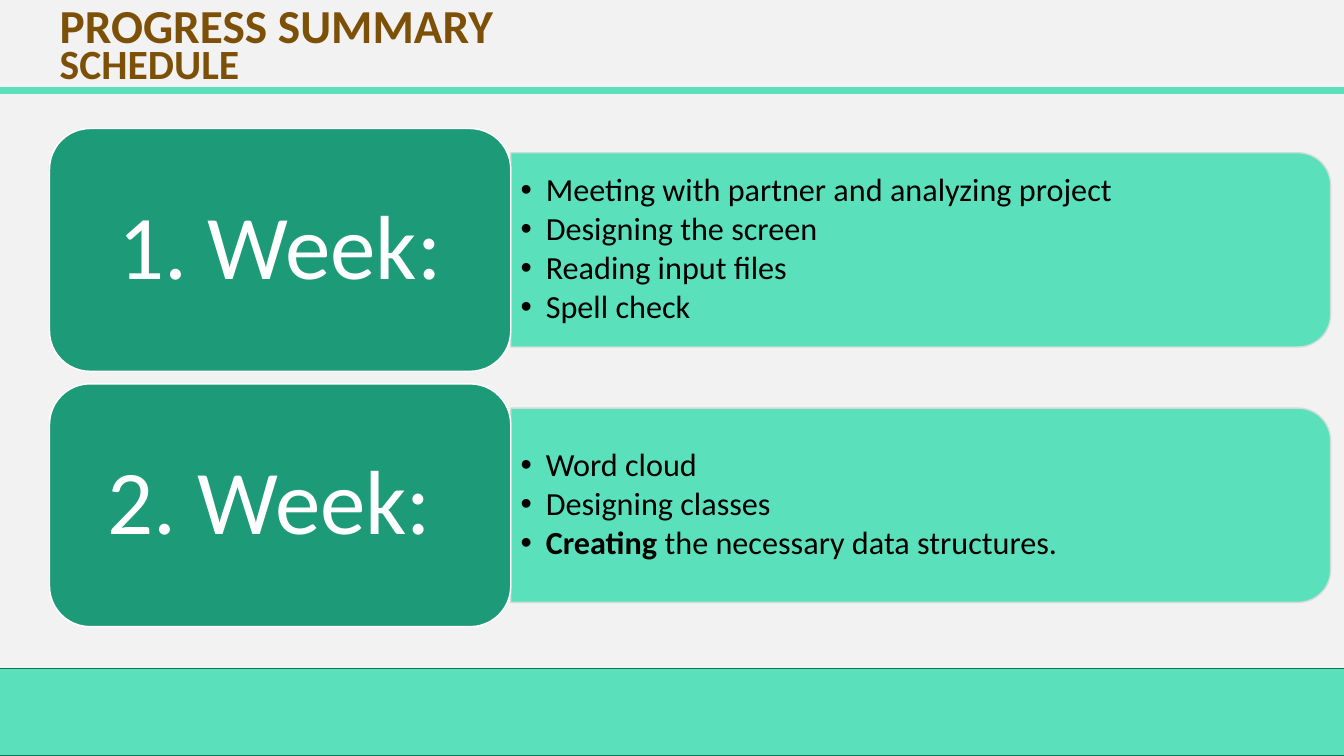
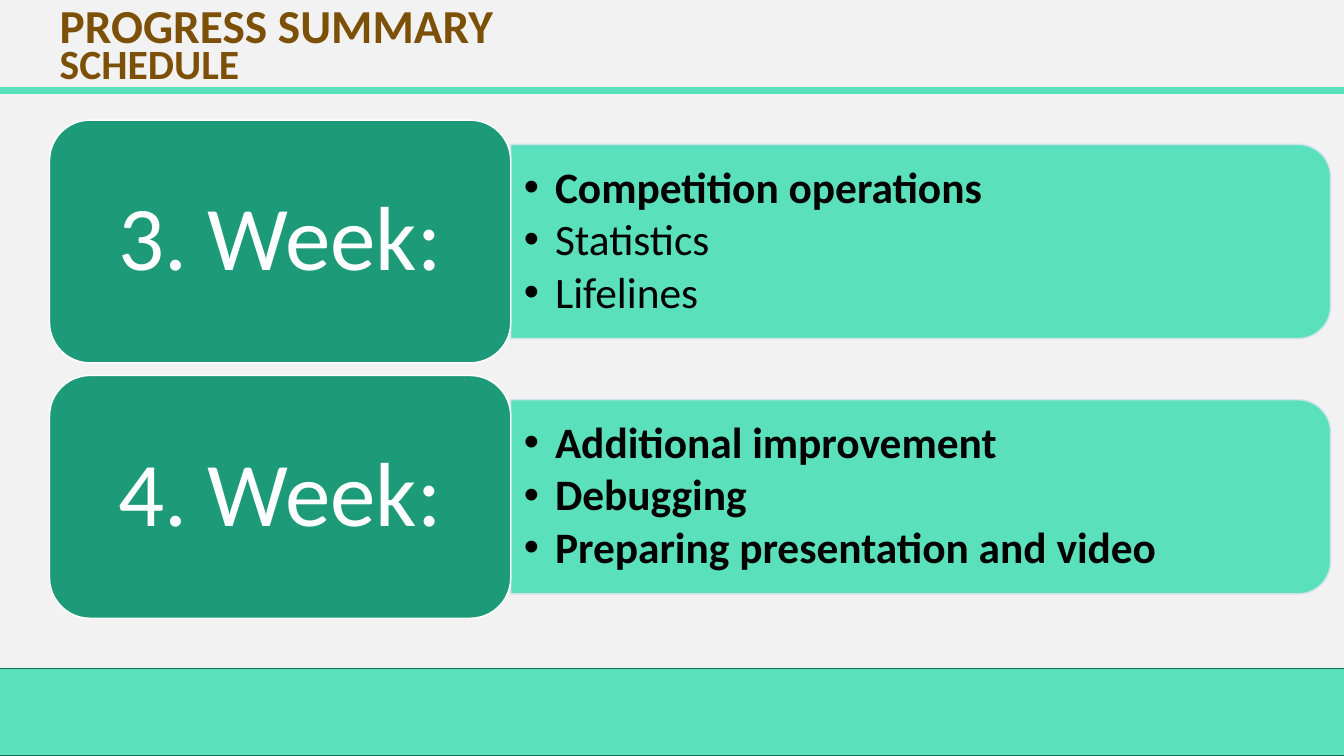
from dataclasses import dataclass

import lxml.etree
import pptx
import pptx.dml.color
import pptx.enum.shapes
import pptx.enum.text
import pptx.oxml.ns
import pptx.presentation
import pptx.shapes.autoshape
import pptx.shapes.base
import pptx.slide
import pptx.text.text
import pptx.util

SLIDE_WIDTH = pptx.util.Inches(13.33)
SLIDE_HEIGHT = pptx.util.Inches(7.5)
GRID_COLUMNS, GRID_ROWS = 160, 90

FONT = "Calibri"
COLORS = {
    "background": "F2F2F2",
    "mint": "5AE0BB",
    "footer_edge": "157259",
    "title": "7D5008",
    "label": "1D9A78",
    "white": "FFFFFF",
    "black": "000000",
    "panel_edge_sage": "CDDED6",
    "panel_edge_sky": "CEE3ED",
}
TITLE_LINES = (("PROGRESS SUMMARY", 33.8), ("SCHEDULE", 29.7))

BLEED = 0.5
RULE_ROW = 10.8
FOOTER_ROW, FOOTER_ROWS = 79.6, 10.4
LEFT_COLUMN = 5.9
LABEL_COLUMNS, LABEL_ROWS = 54.9, 28.9
PANEL_COLUMNS = 97.6
PANEL_ROWS = LABEL_ROWS * 0.8
WEEK_PITCH = LABEL_ROWS + 1.5
BULLET_GAP = 0.13


@dataclass(frozen=True)
class Task:
    bold: str = ""
    plain: str = ""


@dataclass(frozen=True)
class Week:
    label: str
    tasks: tuple[Task, ...]


@dataclass(frozen=True)
class Schedule:
    first_row: float
    text_size: int
    indent: float
    inset: float
    edge: str
    weeks: tuple[Week, ...]


SCHEDULES = (
    Schedule(15.3, 23, 0.25, 0.1, "panel_edge_sage", (
        Week("1. Week:", (
            Task(plain="Meeting with partner and analyzing project"),
            Task(plain="Designing the screen"),
            Task(plain="Reading input files"),
            Task(plain="Spell check"),
        )),
        Week("2. Week: ", (
            Task(plain="Word cloud"),
            Task(plain="Designing classes"),
            Task("Creating ", "the necessary data structures."),
        )),
    )),
    Schedule(14.3, 31, 0.31, 0.13, "panel_edge_sky", (
        Week("3. Week:", (
            Task("Competition operations"),
            Task(plain="Statistics"),
            Task(plain="Lifelines"),
        )),
        Week("4. Week:", (
            Task("Additional improvement"),
            Task("Debugging"),
            Task("Preparing presentation and video"),
        )),
    )),
)


def cols(count: float) -> int:
    return round(SLIDE_WIDTH * count / GRID_COLUMNS)


def rows(count: float) -> int:
    return round(SLIDE_HEIGHT * count / GRID_ROWS)


def rgb(name: str) -> pptx.dml.color.RGBColor:
    return pptx.dml.color.RGBColor.from_string(COLORS[name])


def style_paragraph(paragraph: pptx.text.text._Paragraph, size: float,
                    color: str, spacing: float) -> None:
    paragraph.line_spacing = spacing
    paragraph.font.name = FONT
    paragraph.font.size = pptx.util.Pt(size)
    paragraph.font.color.rgb = rgb(color)


def set_insets(frame: pptx.text.text.TextFrame, side: float, top: float) -> None:
    frame.margin_left = frame.margin_right = pptx.util.Inches(side)
    frame.margin_top = frame.margin_bottom = pptx.util.Inches(top)
    frame.vertical_anchor = pptx.enum.text.MSO_ANCHOR.MIDDLE
    frame.word_wrap = True


def add_block(slide: pptx.slide.Slide, preset: pptx.enum.shapes.MSO_SHAPE,
              left: int, top: int, width: int, height: int,
              fill: str, edge: str) -> pptx.shapes.autoshape.Shape:
    block = slide.shapes.add_shape(preset, left, top, width, height)
    block.shadow.inherit = False
    block.fill.solid()
    block.fill.fore_color.rgb = rgb(fill)
    block.line.color.rgb = rgb(edge)
    block.line.width = pptx.util.Pt(1)
    return block


def add_frame(slide: pptx.slide.Slide) -> None:
    rule = slide.shapes.add_connector(
        pptx.enum.shapes.MSO_CONNECTOR.STRAIGHT,
        cols(-BLEED), rows(RULE_ROW), SLIDE_WIDTH, rows(RULE_ROW))
    rule.line.color.rgb = rgb("mint")
    rule.line.width = pptx.util.Pt(5)
    lxml.etree.SubElement(rule._element.spPr, pptx.oxml.ns.qn("a:effectLst"))
    add_block(slide, pptx.enum.shapes.MSO_SHAPE.RECTANGLE,
              cols(-BLEED), rows(FOOTER_ROW),
              cols(GRID_COLUMNS + 3 * BLEED), rows(FOOTER_ROWS),
              "mint", "footer_edge")


def add_title(slide: pptx.slide.Slide) -> None:
    title = slide.shapes.title
    title.left, title.top = cols(LEFT_COLUMN), rows(0.84)
    title.width, title.height = cols(153.5), rows(RULE_ROW)
    frame = title.text_frame
    frame.auto_size = pptx.enum.text.MSO_AUTO_SIZE.NONE
    frame.vertical_anchor = pptx.enum.text.MSO_ANCHOR.TOP
    frame.text = "\n".join(text for text, _ in TITLE_LINES)
    for paragraph, (_, size) in zip(frame.paragraphs, TITLE_LINES):
        style_paragraph(paragraph, size, "title", 0.7)
        paragraph.alignment = pptx.enum.text.PP_ALIGN.LEFT
        paragraph.font.bold = True


def add_bullet(paragraph: pptx.text.text._Paragraph, indent: float) -> None:
    properties = paragraph._p.get_or_add_pPr()
    hang = pptx.util.Inches(indent)
    properties.set("marL", str(hang))
    properties.set("indent", str(-hang))
    for tag, attribute, value in (("a:buFont", "typeface", "Arial"),
                                  ("a:buChar", "char", "•")):
        bullet = lxml.etree.SubElement(properties, pptx.oxml.ns.qn(tag))
        bullet.set(attribute, value)


def write_task(paragraph: pptx.text.text._Paragraph, task: Task,
               schedule: Schedule) -> None:
    add_bullet(paragraph, schedule.indent)
    style_paragraph(paragraph, schedule.text_size, "black", 0.9)
    paragraph.space_after = pptx.util.Pt(round(schedule.text_size * BULLET_GAP))
    paragraph.font.bold = not task.plain
    for text, bold in ((task.bold, True), (task.plain, False)):
        if text:
            run = paragraph.add_run()
            run.text = text
            if task.bold and task.plain:
                run.font.bold = bold


def add_week(slide: pptx.slide.Slide, week: Week, row: float,
             schedule: Schedule) -> None:
    panel_left = cols(LEFT_COLUMN + LABEL_COLUMNS)
    panel_top = rows(row + (LABEL_ROWS - PANEL_ROWS) / 2)
    panel_width, panel_height = cols(PANEL_COLUMNS), rows(PANEL_ROWS)
    turn = (panel_width - panel_height) // 2
    panel = add_block(slide, pptx.enum.shapes.MSO_SHAPE.ROUND_2_SAME_RECTANGLE,
                      panel_left + turn, panel_top - turn,
                      panel_height, panel_width, "mint", schedule.edge)
    panel.rotation = 90

    tasks = slide.shapes.add_textbox(panel_left, panel_top,
                                     panel_width, panel_height).text_frame
    set_insets(tasks, schedule.inset, schedule.inset / 2)
    for index, task in enumerate(week.tasks):
        paragraph = tasks.add_paragraph() if index else tasks.paragraphs[0]
        write_task(paragraph, task, schedule)

    label = add_block(slide, pptx.enum.shapes.MSO_SHAPE.ROUNDED_RECTANGLE,
                      cols(LEFT_COLUMN), rows(row),
                      cols(LABEL_COLUMNS), rows(LABEL_ROWS),
                      "label", "white").text_frame
    set_insets(label, 0.27, 0.14)
    label.text = week.label
    style_paragraph(label.paragraphs[0], 65, "white", 0.9)
    label.paragraphs[0].alignment = pptx.enum.text.PP_ALIGN.CENTER


def add_schedule(deck: pptx.presentation.Presentation, schedule: Schedule) -> None:
    slide = deck.slides.add_slide(deck.slide_layouts.get_by_name("Title Only"))
    add_frame(slide)
    add_title(slide)
    for index, week in enumerate(schedule.weeks):
        add_week(slide, week, schedule.first_row + index * WEEK_PITCH, schedule)


def main() -> None:
    deck = pptx.Presentation()
    deck.slide_width, deck.slide_height = SLIDE_WIDTH, SLIDE_HEIGHT
    backdrop = deck.slide_master.background.fill
    backdrop.solid()
    backdrop.fore_color.rgb = rgb("background")
    for schedule in SCHEDULES:
        add_schedule(deck, schedule)
    deck.save("out.pptx")


if __name__ == "__main__":
    main()
